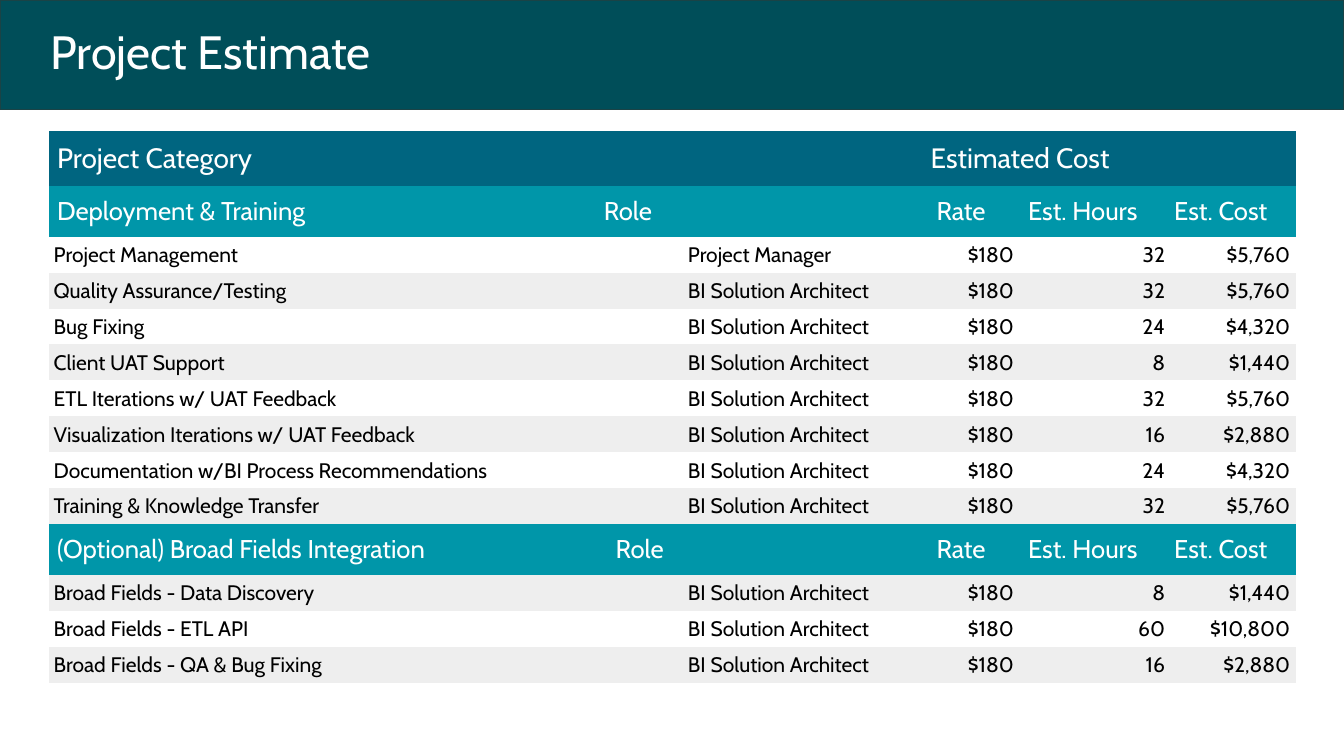
from dataclasses import dataclass
from lxml import etree
from pptx import Presentation
from pptx import util as u
from pptx.dml.color import RGBColor as Rgb
from pptx.enum import shapes, text
from pptx.oxml.ns import qn


@dataclass
class Theme:
    face: str = "Cabin"
    band: str = "004E59"
    edge: str = "1A4346"
    head: str = "006580"
    teal: str = "0096A9"
    stripe: str = "EEEEEE"
    white: str = "FFFFFF"
    black: str = "000000"
    title: int = 40
    top: int = 24
    group: int = 22
    body: int = 18


look = Theme()


def style(para, size, color):
    para.font.name = look.face
    para.font.size = u.Pt(size)
    para.font.color.rgb = Rgb.from_string(color)


def put(cell, words, size, color, fill, pads, tab=None, align=None):
    cell.fill.solid()
    cell.fill.fore_color.rgb = Rgb.from_string(fill)
    cell.vertical_anchor = text.MSO_ANCHOR.MIDDLE
    left, over, right, under = pads
    cell.margin_left, cell.margin_top = u.Inches(left), u.Inches(over)
    cell.margin_right, cell.margin_bottom = u.Inches(right), u.Inches(under)
    cell.text = words
    para = cell.text_frame.paragraphs[0]
    if tab:
        stops = etree.SubElement(para._p.get_or_add_pPr(), qn("a:tabLst"))
        etree.SubElement(stops, qn("a:tab"), pos=str(u.Inches(tab)), algn="l")
    if align:
        para.alignment = align
    style(para, size, color)


deck = Presentation()
deck.slide_width, deck.slide_height = u.Inches(16), u.Inches(9)
slide = deck.slides.add_slide(deck.slide_layouts[5])

title = slide.shapes.title
title.left, title.top = u.Inches(0.5), u.Inches(0.3)
title.width, title.height = u.Inches(15), u.Inches(0.7)
title.text_frame.text = "Project Estimate"
title.text_frame.vertical_anchor = text.MSO_ANCHOR.MIDDLE
para = title.text_frame.paragraphs[0]
para.alignment = text.PP_ALIGN.LEFT
para.line_spacing = 0.9
style(para, look.title, look.white)

band = slide.shapes.add_shape(shapes.MSO_SHAPE.RECTANGLE, 0, 0, deck.slide_width, u.Inches(1.3))
band.shadow.inherit = False
band.fill.solid()
band.fill.fore_color.rgb = Rgb.from_string(look.band)
band.line.color.rgb = Rgb.from_string(look.edge)
band.line.width = u.Pt(1)
title.element.addprevious(band.element)

lead = "BI Solution Architect"
rate = 180
groups = [
    ("Deployment & Training", 6.51, [
        ("Project Management", "Project Manager", 32),
        ("Quality Assurance/Testing", lead, 32),
        ("Bug Fixing", lead, 24),
        ("Client UAT Support", lead, 8),
        ("ETL Iterations w/ UAT Feedback", lead, 32),
        ("Visualization Iterations w/ UAT Feedback", lead, 16),
        ("Documentation w/BI Process Recommendations", lead, 24),
        ("Training & Knowledge Transfer", lead, 32),
    ]),
    ("(Optional) Broad Fields Integration", 6.65, [
        ("Broad Fields - Data Discovery", lead, 8),
        ("Broad Fields - ETL API", lead, 60),
        ("Broad Fields - QA & Bug Fixing", lead, 16),
    ]),
]
tasks = sum(len(items) for _, _, items in groups)
count = 1 + len(groups) + tasks
wide, high = 14.85, 6.57
top_high, group_high = 0.65, 0.61
task_high = (high - top_high - group_high * len(groups)) / tasks

frame = slide.shapes.add_table(count, 5, u.Inches(0.58), u.Inches(1.56), u.Inches(wide), u.Inches(high))
table = frame.table
table.first_row = table.horz_banding = False
for tag in frame.element.iter(qn("a:tableStyleId")):
    tag.text = "{2D5ABB26-0587-4C30-8999-92F81FD0307C}"
for col, size in zip(table.columns, (7.6, 2.87, 1.09, 1.74, 1.55)):
    col.width = u.Inches(size)

roomy = (0.1, 0.1, 0.1, 0.1)
pads = [(left, 0.01, right, 0) for left, right in
        ((0.06, 0.01), (0.01, 0.01), (0.01, 0.07), (0.01, 0.01), (0.01, 0.07))]

table.rows[0].height = u.Inches(top_high)
table.cell(0, 0).merge(table.cell(0, 4))
put(table.cell(0, 0), "Project Category\tEstimated Cost", look.top, look.white, look.head, roomy, 10.4)

row = 1
for name, tab, items in groups:
    table.rows[row].height = u.Inches(group_high)
    table.cell(row, 0).merge(table.cell(row, 1))
    put(table.cell(row, 0), name + "\tRole", look.group, look.white, look.teal, roomy, tab)
    for col, words in enumerate(("Rate", "Est. Hours", "Est. Cost"), 2):
        put(table.cell(row, col), words, look.group, look.white, look.teal, roomy)
    row += 1
    for task, role, hours in items:
        table.rows[row].height = u.Inches(task_high)
        fill = look.stripe if row % 2 else look.white
        values = (task, role, f"${rate}", str(hours), f"${rate * hours:,}")
        for col, words in enumerate(values):
            align = text.PP_ALIGN.RIGHT if col > 1 else text.PP_ALIGN.LEFT
            put(table.cell(row, col), words, look.body, look.black, fill, pads[col], align=align)
        row += 1

deck.save("out.pptx")
